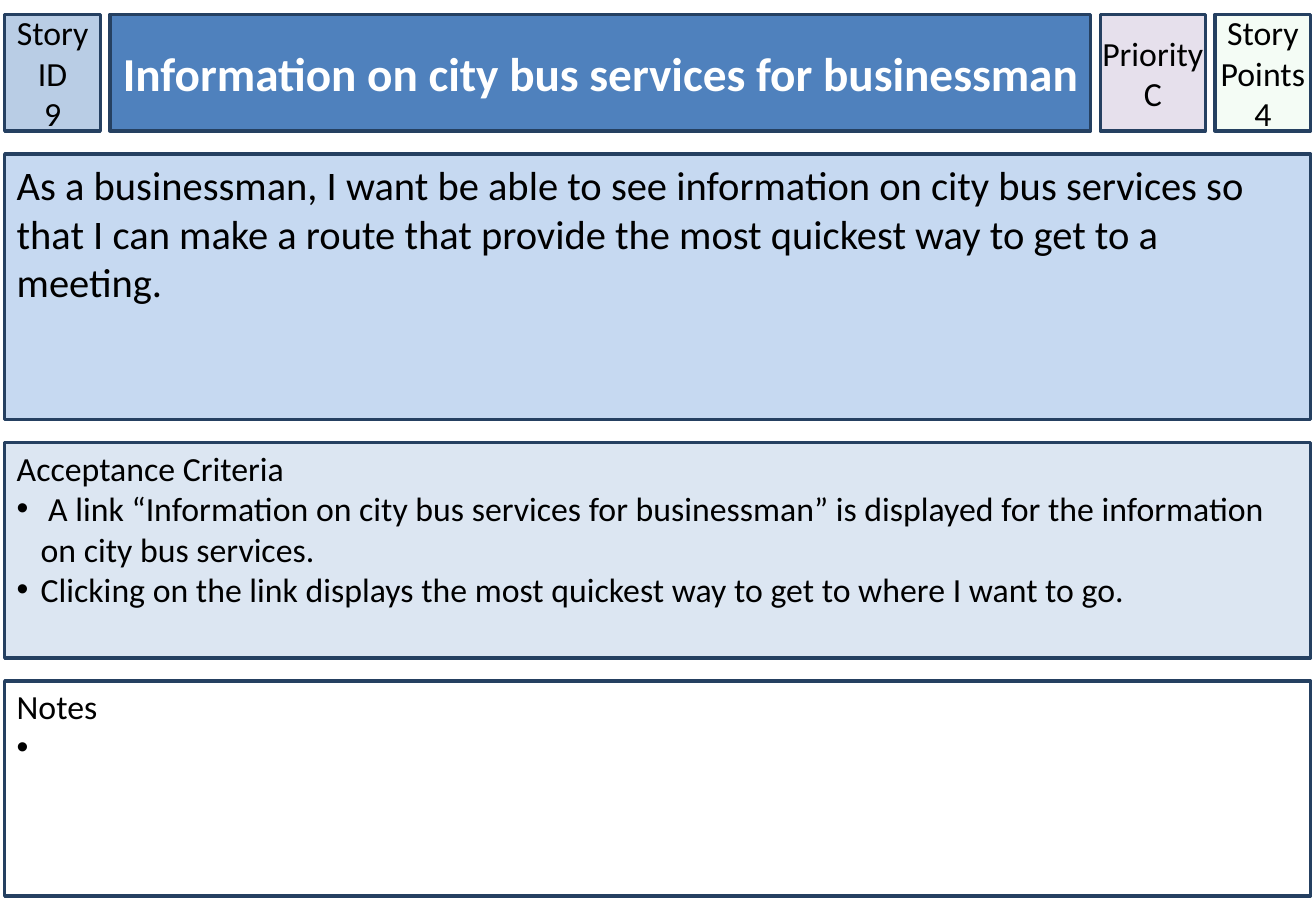
from dataclasses import dataclass

from lxml import etree
from pptx import Presentation
from pptx import util as u
from pptx.dml.color import RGBColor
from pptx.enum import shapes, text
from pptx.oxml.ns import qn


@dataclass(frozen=True)
class Theme:
    font: str = "Calibri"
    title_size: int = 28
    story_size: int = 24
    body_size: int = 20
    ink: str = "000000"
    white: str = "FFFFFF"
    border: str = "254061"
    story_id: str = "B9CDE5"
    title: str = "4F81BD"
    priority: str = "E6E0EC"
    points: str = "CCF0CD"
    story: str = "C6D9F1"
    criteria: str = "DCE6F2"


theme = Theme()


def add_card(left, top, width, height, fill, margins):
    """Add a bordered rectangle; margins are the side and top insets."""
    card = page.shapes.add_shape(
        shapes.MSO_SHAPE.RECTANGLE,
        u.Cm(left), u.Cm(top), u.Cm(width), u.Cm(height))
    card.shadow.inherit = False
    card.fill.solid()
    card.fill.fore_color.rgb = RGBColor.from_string(fill)
    card.line.color.rgb = RGBColor.from_string(theme.border)
    card.line.width = u.Pt(2)
    frame = card.text_frame
    frame.word_wrap = True
    side, upper = margins
    frame.margin_left = frame.margin_right = u.Cm(side)
    frame.margin_top = u.Cm(upper)
    return card


def write(frame, lines, size, align, color=theme.ink, bold=False, bullets=False):
    """Fill a frame with paragraphs; bullets mark every line after the first."""
    for index, line in enumerate(lines):
        para = frame.paragraphs[0] if index == 0 else frame.add_paragraph()
        para.add_run().text = line
        para.alignment = align
        if bullets and index > 0:
            props = para._p.get_or_add_pPr()
            props.set("marL", str(u.Cm(0.5)))
            props.set("indent", str(-u.Cm(0.5)))
            etree.SubElement(props, qn("a:buFont")).set("typeface", "Arial")
            etree.SubElement(props, qn("a:buChar")).set("char", "•")
        para.font.name = theme.font
        para.font.size = u.Pt(size)
        para.font.bold = bold
        para.font.color.rgb = RGBColor.from_string(color)


deck = Presentation()
deck.slide_width, deck.slide_height = u.Cm(27.51), u.Cm(19.05)
page = deck.slides.add_slide(deck.slide_layouts[6])

edge, page_top, full_width = 0.1, 0.3, 27.3
column_gap, row_gap = 0.2, 0.48
header_height = 2.44
tight, roomy, snug = (0, 0.13), (0.25, 0.13), (0.25, 0.1)

# Header row: width, fill, margins, lines, size, colour, bold
header = [
    (2, theme.story_id, tight, ["Story ID", "9"],
     theme.body_size, theme.ink, False),
    (20.5, theme.title, roomy, ["Information on city bus services for businessman"],
     theme.title_size, theme.white, True),
    (2.2, theme.priority, tight, ["Priority", "C"],
     theme.body_size, theme.ink, False),
    (2, theme.points, tight, ["Story Points", "4"],
     theme.body_size, theme.ink, False),
]
left = edge
for width, fill, margins, lines, size, color, bold in header:
    card = add_card(left, page_top, width, header_height, fill, margins)
    card.text_frame.vertical_anchor = text.MSO_ANCHOR.MIDDLE
    card.text_frame.word_wrap = fill != theme.priority
    write(card.text_frame, lines, size, text.PP_ALIGN.CENTER, color, bold)
    if fill == theme.points:
        # Let the white page show through the points card
        tint = card.fill._xPr.find(qn("a:solidFill"))[0]
        etree.SubElement(tint, qn("a:alpha")).set("val", "20000")
    left += width + column_gap

# Full-width rows: height, fill, margins, size, lines
rows = [
    (5.56, theme.story, roomy, theme.story_size, [
        "As a businessman, I want be able to see information on city bus "
        "services so that I can make a route that provide the most quickest "
        "way to get to a meeting."]),
    (4.5, theme.criteria, snug, theme.body_size, [
        "Acceptance Criteria",
        " A link “Information on city bus services for businessman” is "
        "displayed for the information on city bus services.",
        "Clicking on the link displays the most quickest way to get to "
        "where I want to go."]),
    (4.5, theme.white, snug, theme.body_size, ["Notes", " "]),
]
top = page_top + header_height + row_gap
for height, fill, margins, size, lines in rows:
    card = add_card(edge, top, full_width, height, fill, margins)
    card.text_frame.vertical_anchor = text.MSO_ANCHOR.TOP
    write(card.text_frame, lines, size, text.PP_ALIGN.LEFT, bullets=True)
    top += height + row_gap

deck.save("out.pptx")
